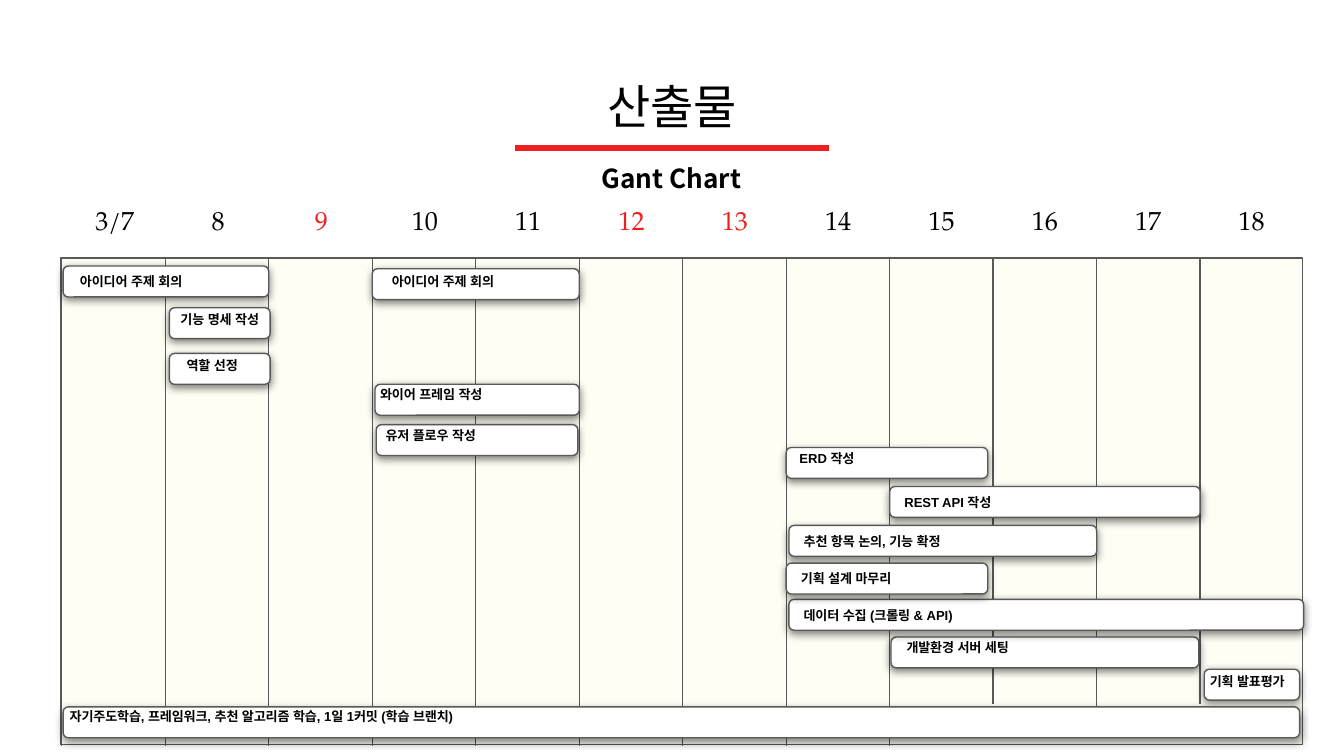
"""Build the project schedule slide with its Gantt chart."""
from dataclasses import dataclass
from typing import Optional

from lxml import etree
from pptx import Presentation
from pptx import util as u
from pptx.dml.color import RGBColor
from pptx.enum import shapes, text
from pptx.oxml import ns
from pptx.shapes.autoshape import Shape
from pptx.slide import Slide
from pptx.text.text import TextFrame, _Paragraph

EMU_PER_PX = 9144


@dataclass(frozen=True)
class Theme:
    ink: str = "000000"
    accent: str = "EE1F1F"
    outline: str = "595959"
    panel: str = "FEFEF4"
    paper: str = "FFFFFF"
    heading_font: str = "Noto Sans CJK KR"
    label_font: str = "Arial"
    date_font: str = "TeX Gyre Pagella"
    title_size: float = 25.2
    heading_size: float = 14
    label_size: float = 7
    hairline: float = 0.75
    rule: float = 3


@dataclass(frozen=True)
class Box:
    left: int
    top: int
    width: int
    height: int


@dataclass(frozen=True)
class Task:
    left: int
    top: int
    width: int
    label: str
    label_box: Optional[Box] = None
    centred: bool = False


@dataclass(frozen=True)
class Style:
    font: str
    size: float
    color: str
    bold: bool = False
    centred: bool = False


THEME = Theme()
SLIDE_WIDTH = 1000
BAR_HEIGHT = 23
INSET = 10
DAY_WIDTH = 77
FIRST_DAY_LEFT = 46
DAYS = ("3/7", "8", "9", "10", "11", "12", "13", "14", "15", "16", "17", "18")
DAYS_OFF = ("9", "12", "13")
SHORT_DIVIDERS = {9: 524, 10: 539, 11: 524}

TASKS = (
    Task(896, 498, 71, "기획 발표평가", Box(886, 495, 84, 32), True),
    Task(47, 526, 920, "자기주도학습, 프레임워크, 추천 알고리즘 학습, 1일 1커밋 (학습 브랜치)",
         Box(42, 521, 879, 32)),
    Task(663, 474, 229, "개발환경 서버 세팅", Box(648, 470, 129, 32), True),
    Task(585, 333, 150, "ERD 작성", Box(585, 329, 158, 32)),
    Task(280, 316, 150, "유저 플로우 작성", Box(277, 312, 135, 32)),
    Task(279, 286, 152, "와이어 프레임 작성", Box(273, 282, 135, 32)),
    Task(126, 229, 75, "기능 명세 작성", Box(118, 226, 91, 32), True),
    Task(277, 200, 154, "아이디어 주제 회의", Box(262, 198, 135, 44), True),
    Task(47, 198, 153, "아이디어 주제 회의", Box(30, 198, 135, 44), True),
    Task(662, 362, 231, "REST API 작성"),
    Task(587, 446, 383, "데이터 수집 (크롤링 & API)"),
    Task(587, 391, 229, "추천 항목 논의, 기능 확정"),
    Task(585, 419, 150, "기획 설계 마무리"),
    Task(126, 263, 75, "역할 선정", Box(129, 260, 69, 32)),
)


def px(length: int) -> u.Emu:
    return u.Emu(length * EMU_PER_PX)


def place(box: Box) -> tuple[u.Emu, ...]:
    return px(box.left), px(box.top), px(box.width), px(box.height)


def rgb(color: str) -> RGBColor:
    return RGBColor.from_string(color)


def style_paragraph(paragraph: _Paragraph, wording: str, style: Style) -> None:
    paragraph.text = wording
    paragraph.alignment = text.PP_ALIGN.CENTER if style.centred else text.PP_ALIGN.LEFT
    font = paragraph.font
    font.name, font.size, font.bold = style.font, u.Pt(style.size), style.bold
    font.color.rgb = rgb(style.color)
    latin = paragraph._p.pPr.find(".//" + ns.qn("a:latin"))
    east_asian = etree.Element(ns.qn("a:ea"), typeface=style.font)
    latin.addnext(east_asian)


def fill_frame(frame: TextFrame, wording: str, style: Style,
               anchor: text.MSO_ANCHOR = text.MSO_ANCHOR.TOP) -> None:
    frame.word_wrap = True
    frame.vertical_anchor = anchor
    frame.margin_left = frame.margin_right = px(INSET)
    frame.margin_top = frame.margin_bottom = px(INSET)
    style_paragraph(frame.paragraphs[0], wording, style)


def add_label(slide: Slide, box: Box, wording: str, style: Style,
              anchor: text.MSO_ANCHOR = text.MSO_ANCHOR.TOP) -> TextFrame:
    frame = slide.shapes.add_textbox(*place(box)).text_frame
    fill_frame(frame, wording, style, anchor)
    return frame


def add_block(slide: Slide, kind: shapes.MSO_SHAPE, box: Box, color: str) -> Shape:
    block = slide.shapes.add_shape(kind, *place(box))
    block.shadow.inherit = False
    block.fill.solid()
    block.fill.fore_color.rgb = rgb(color)
    block.line.color.rgb = rgb(THEME.outline)
    block.line.width = u.Pt(THEME.hairline)
    return block


def add_line(slide: Slide, start: tuple[int, int], end: tuple[int, int],
             color: str, width: float) -> None:
    line = slide.shapes.add_connector(
        shapes.MSO_CONNECTOR.STRAIGHT, *map(px, start), *map(px, end))
    line.line.color.rgb = rgb(color)
    line.line.width = u.Pt(width)
    etree.SubElement(line._element.spPr, ns.qn("a:effectLst"))


def add_shadow(bar: Shape) -> None:
    effects = bar._element.spPr.find(ns.qn("a:effectLst"))
    shadow = etree.SubElement(effects, ns.qn("a:outerShdw"), blurRad="57150",
                              dist="19050", dir="5400000", algn="bl", rotWithShape="0")
    color = etree.SubElement(shadow, ns.qn("a:srgbClr"), val=THEME.ink)
    etree.SubElement(color, ns.qn("a:alpha"), val="50000")


def add_task(slide: Slide, task: Task) -> None:
    bar = add_block(slide, shapes.MSO_SHAPE.ROUNDED_RECTANGLE,
                    Box(task.left, task.top, task.width, BAR_HEIGHT), THEME.paper)
    add_shadow(bar)
    style = Style(THEME.label_font, THEME.label_size, THEME.ink, True, task.centred)
    if task.label_box:
        add_label(slide, task.label_box, task.label, style)
    else:
        fill_frame(bar.text_frame, task.label, style, text.MSO_ANCHOR.MIDDLE)


def add_dates(slide: Slide, box: Box) -> None:
    dates = slide.shapes.add_table(1, len(DAYS), *place(box)).table
    dates.first_row = dates.horz_banding = False
    for cell, day in zip(dates.rows[0].cells, DAYS):
        cell.margin_left = cell.margin_right = px(INSET)
        cell.margin_top = cell.margin_bottom = px(INSET)
        color = THEME.accent if day in DAYS_OFF else THEME.ink
        style_paragraph(cell.text_frame.paragraphs[0], day,
                        Style(THEME.date_font, THEME.heading_size, color, centred=True))
        properties = cell._tc.get_or_add_tcPr()
        for side in ("lnL", "lnR", "lnT", "lnB"):
            border = etree.SubElement(properties, ns.qn(f"a:{side}"),
                                      w=str(u.Pt(THEME.hairline)))
            paint = etree.SubElement(border, ns.qn("a:solidFill"))
            etree.SubElement(paint, ns.qn("a:srgbClr"), val=THEME.paper)
        cell.fill.background()


def main() -> None:
    deck = Presentation()
    deck.slide_width = px(SLIDE_WIDTH)
    deck.slide_height = u.Emu(deck.slide_width * 9 // 16)
    slide = deck.slides.add_slide(deck.slide_layouts[6])

    add_block(slide, shapes.MSO_SHAPE.RECTANGLE, Box(45, 192, 924, 362), THEME.panel)
    for day in range(len(DAYS)):
        x = FIRST_DAY_LEFT + day * DAY_WIDTH
        add_line(slide, (x, 192), (x, SHORT_DIVIDERS.get(day, 555)),
                 THEME.outline, THEME.hairline)
    for task in TASKS:
        add_task(slide, task)

    add_label(slide, Box(407, 111, 185, 44), "Gant Chart",
              Style(THEME.heading_font, THEME.heading_size, THEME.ink, True, True))
    title = add_label(slide, Box(34, 50, 932, 63), "산출물",
                      Style(THEME.heading_font, THEME.title_size, THEME.ink, centred=True),
                      text.MSO_ANCHOR.MIDDLE)
    title.paragraphs[0].line_spacing = 0.9
    add_line(slide, (383, 110), (617, 110), THEME.accent, THEME.rule)
    add_dates(slide, Box(47, 147, 923, 43))
    deck.save("out.pptx")


if __name__ == "__main__":
    main()
